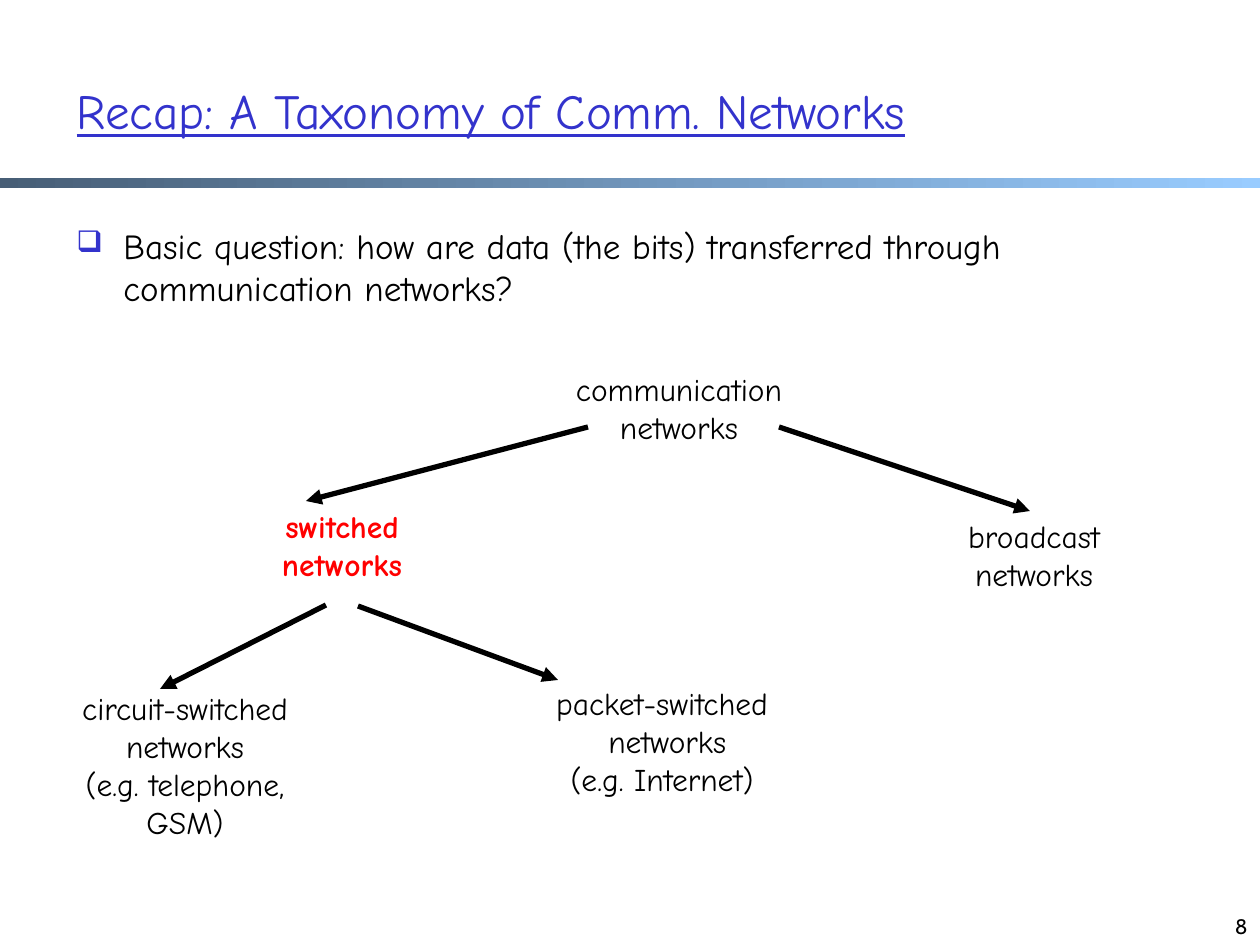
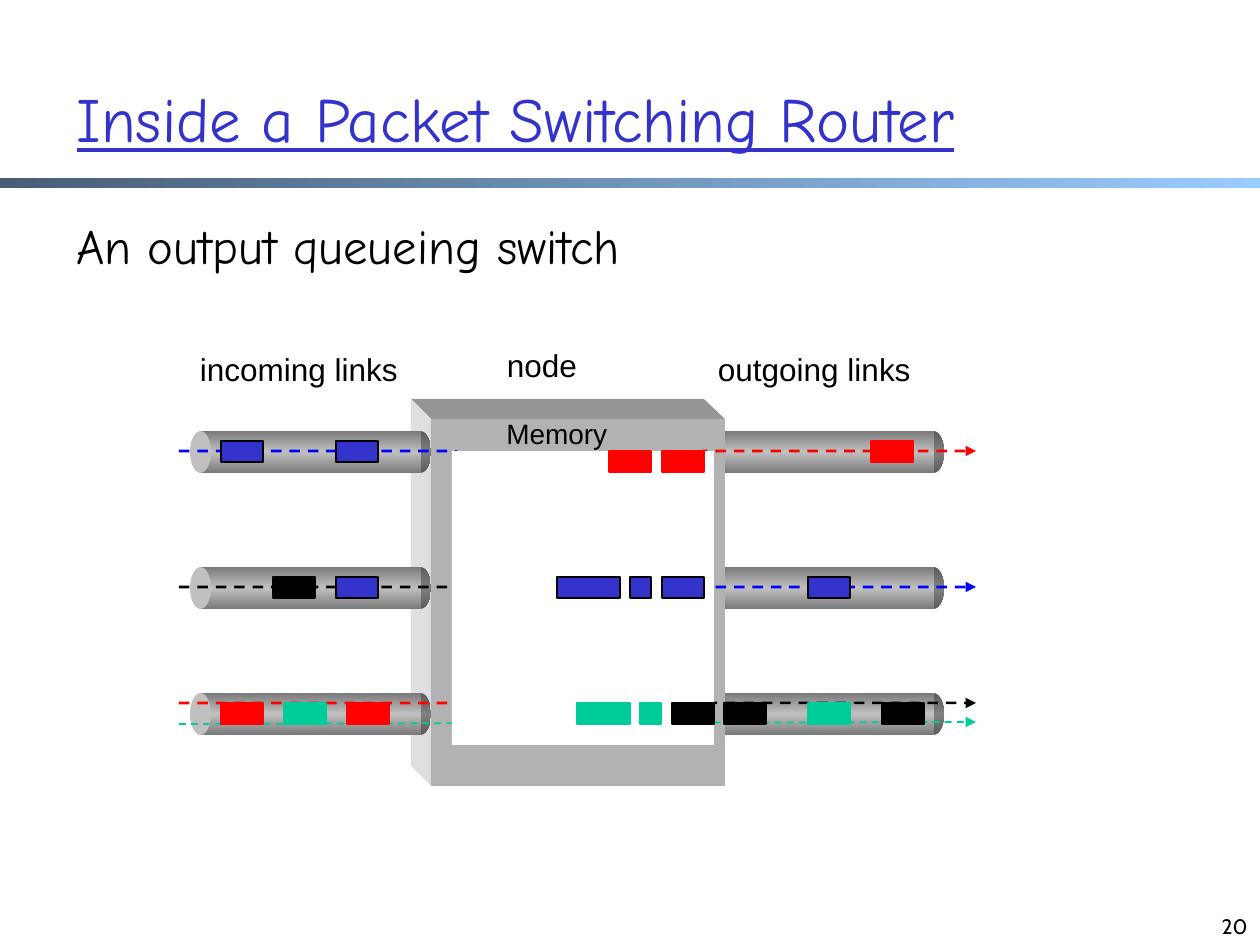
from lxml.etree import SubElement
from pptx import Presentation
from pptx.dml.color import RGBColor
from pptx.enum.dml import MSO_LINE
from pptx.enum.shapes import MSO_CONNECTOR, MSO_SHAPE
from pptx.enum.text import MSO_ANCHOR, MSO_AUTO_SIZE, PP_ALIGN
from pptx.oxml.ns import qn
from pptx.util import Emu, Inches, Pt

UNIT = 914400 / 126
BLACK, WHITE, RED, GREEN = "000000", "FFFFFF", "FF0000", "00CC99"
BLUE, BRIGHT = "3333CC", "0000FF"
BAND = ["475E76", "99CCFF"]
BODY = ["7A7A7A", "C0C0C0", "7A7A7A"]
CAP = ["5B5B5B", "808080", "5B5B5B"]
COMIC, CABIN, ARIAL = "Comic Neue", "Cabin", "Arial"


def px(num):
    return Emu(round(num * UNIT))


def rgb(code):
    return RGBColor.from_string(code)


def adorn(item, form):
    """Set each attribute named in form."""
    for key, value in form.items():
        setattr(item, key, value)


class Deck:
    """Holds the presentation, its style and the current slide."""

    def __init__(self):
        self.prs = Presentation()
        self.prs.slide_width, self.prs.slide_height = Inches(10), Inches(7.5)

    def page(self, title, box, size, number, anchor=MSO_ANCHOR.TOP):
        """Start a slide with its title, band and page number."""
        slide = self.prs.slides.add_slide(self.prs.slide_layouts[5])
        self.shapes = slide.shapes
        self.rect((0, 178, 1260, 10), BAND)
        head = self.shapes.title
        places = zip(("left", "top", "width", "height"), map(px, box))
        adorn(head, dict(places))
        self.label(head, title, size, hue=BLUE, anchor=anchor, underline=True)
        self.text((966, 882, 294, 63), number, 12, face=CABIN,
                  align=PP_ALIGN.RIGHT, anchor=MSO_ANCHOR.BOTTOM)

    def label(self, shape, words, size, face=COMIC, hue=BLACK, wrap=True,
              align=PP_ALIGN.LEFT, anchor=MSO_ANCHOR.TOP, pad=True, **style):
        frame = shape.text_frame
        wide, high = (Inches(0.1), Inches(0.05)) if pad else (0, 0)
        adorn(frame, dict(
            word_wrap=wrap, auto_size=MSO_AUTO_SIZE.NONE,
            vertical_anchor=anchor, margin_left=wide, margin_right=wide,
            margin_top=high, margin_bottom=high))
        para = frame.paragraphs[0]
        para.text, para.alignment = words, align
        for run in para.runs:
            adorn(run.font, dict(name=face, size=Pt(size), **style))
            run.font.color.rgb = rgb(hue)
        return para

    def text(self, box, words, size, **style):
        shape = self.shapes.add_textbox(*map(px, box))
        return self.label(shape, words, size, **style)

    def bullet(self, box, words, size):
        props = self.text(box, words, size)._p.get_or_add_pPr()
        props.set("marL", str(px(47)))
        props.set("indent", str(-px(47)))
        tint = SubElement(props, qn("a:buClr"))
        SubElement(tint, qn("a:srgbClr"), val=BLUE)
        SubElement(props, qn("a:buSzPct"), val="85000")
        SubElement(props, qn("a:buChar"), char="❑")

    def paint(self, shape, fill, edge=None):
        """Fill with one colour, or with a list of gradient colours."""
        shape.shadow.inherit = False
        if isinstance(fill, list):
            shape.fill.gradient()
            shape.fill.gradient_angle = 0 if fill is BAND else 90
            stops = next(shape._element.iter(qn("a:gsLst")))
            stops.clear()
            for i, hue in enumerate(fill):
                spot = 100000 * i // (len(fill) - 1)
                stop = SubElement(stops, qn("a:gs"), pos=str(spot))
                SubElement(stop, qn("a:srgbClr"), val=hue)
        else:
            shape.fill.solid()
            shape.fill.fore_color.rgb = rgb(fill)
        if edge:
            self.stroke(shape.line, edge, 1)
        else:
            shape.line.fill.background()

    def rect(self, box, fill, edge=None, kind=MSO_SHAPE.RECTANGLE):
        self.paint(self.shapes.add_shape(kind, *map(px, box)), fill, edge)

    def oval(self, box, fill):
        self.rect(box, fill, kind=MSO_SHAPE.OVAL)

    def trace(self, points, close):
        pen = self.shapes.build_freeform(*points[0], scale=UNIT)
        pen.add_line_segments(points[1:], close=close)
        return pen.convert_to_shape()

    def face(self, points, fill):
        self.paint(self.trace(points, True), fill)

    def stroke(self, line, hue, width, dash=None, arrow=False):
        line.color.rgb = rgb(hue)
        line.width = Pt(width)
        if dash:
            line.dash_style = dash
        if arrow:
            SubElement(line._get_or_add_ln(), qn("a:tailEnd"), type="triangle")

    def arrow(self, start, end, hue=BLACK, width=3, dash=None):
        line = self.shapes.add_connector(
            MSO_CONNECTOR.STRAIGHT, *map(px, start + end))
        self.stroke(line.line, hue, width, dash, True)
        SubElement(line._element.spPr, qn("a:effectLst"))

    def route(self, points, hue):
        """Draw a dashed open path that ends in an arrowhead."""
        shape = self.trace(points, False)
        shape.shadow.inherit = False
        shape.fill.background()
        self.stroke(shape.line, hue, 1.5, MSO_LINE.DASH, True)

    def pipe(self, left, top):
        self.oval((left + 220, top, 21, 42), CAP)
        self.rect((left + 10, top, 221, 42), BODY)
        self.oval((left, top, 21, 42), "C0C0C0")


def taxonomy(deck):
    deck.page("Recap: A Taxonomy of Comm. Networks", (64, 74, 1071, 83), 28, "8")
    deck.bullet((64, 218, 1133, 113),
                "Basic question: how are data (the bits) transferred "
                "through communication networks?", 20)
    nodes = [
        ((537, 364, 284, 88), "communication networks", {}),
        ((200, 501, 284, 88), "switched\nnetworks", dict(hue=RED, bold=True)),
        ((892, 511, 284, 88), "broadcast\nnetworks", {}),
        ((43, 683, 284, 165),
         "circuit-switched\nnetworks\n(e.g. telephone, GSM)", {}),
        ((432, 678, 460, 127),
         "packet-switched\n networks\n(e.g. Internet)", {}),
    ]
    for box, words, style in nodes:
        deck.text(box, words, 18, align=PP_ALIGN.CENTER, **style)
    for start, end in [((588, 427), (306, 501)), ((779, 427), (1030, 511)),
                       ((326, 605), (160, 689)), ((358, 606), (558, 680))]:
        deck.arrow(start, end)


def router(deck):
    deck.page("Inside a Packet Switching Router", (64, 64, 1071, 106), 35.9,
              "20", MSO_ANCHOR.MIDDLE)
    deck.text((64, 210, 1071, 68), "An output queueing switch", 27.9)

    rows = (431, 567, 693)
    for top in rows:
        deck.pipe(703, top)
    deck.face([(411, 399), (704, 399), (725, 419), (431, 419)], "969696")
    deck.face([(411, 399), (431, 419), (431, 786), (411, 766)], "DFDFDF")
    deck.rect((431, 419, 294, 367), "B2B2B2")
    for top in rows:
        deck.pipe(190, top)

    for left, top, words in [(200, 350, "incoming links"), (507, 346, "node"),
                             (718, 350, "outgoing links")]:
        deck.text((left, top, 200, 38), words, 18, face=ARIAL, wrap=False,
                  pad=False)

    start, end = 179, 976
    deck.arrow((start, 724), (end, 722), GREEN, 1, MSO_LINE.DASH)
    for enter, turn, out, leave, hue in [(703, 462, 703, 451, RED),
                                         (451, 455, 711, 587, BRIGHT),
                                         (587, 452, 714, 703, BLACK)]:
        deck.route([(start, enter), (turn, enter), (out, leave), (end, leave)],
                   hue)
    deck.rect((452, 451, 262, 294), WHITE)

    # Packets: colour, edge, then top and (left, width) pairs
    packets = [
        (BLUE, BLACK, 441, [(221, 42), (336, 42)]),
        (BLUE, BLACK, 577, [(336, 42), (557, 63), (630, 21), (662, 42),
                            (808, 42)]),
        (BLACK, BLACK, 577, [(273, 42)]),
        (BLACK, BLACK, 703, [(672, 42), (724, 42), (882, 42)]),
        (RED, RED, 703, [(221, 42), (347, 42)]),
        (RED, RED, 451, [(609, 42), (662, 42)]),
        (RED, RED, 441, [(871, 42)]),
        (GREEN, GREEN, 703, [(284, 42), (577, 53), (640, 21), (808, 42)]),
    ]
    for fill, edge, top, spans in packets:
        for left, width in spans:
            deck.rect((left, top, width, 21), fill, edge)
    deck.text((494, 410, 126, 45), "Memory", 16, face=ARIAL, wrap=False)


def main():
    deck = Deck()
    taxonomy(deck)
    router(deck)
    deck.prs.save("out.pptx")


if __name__ == "__main__":
    main()
